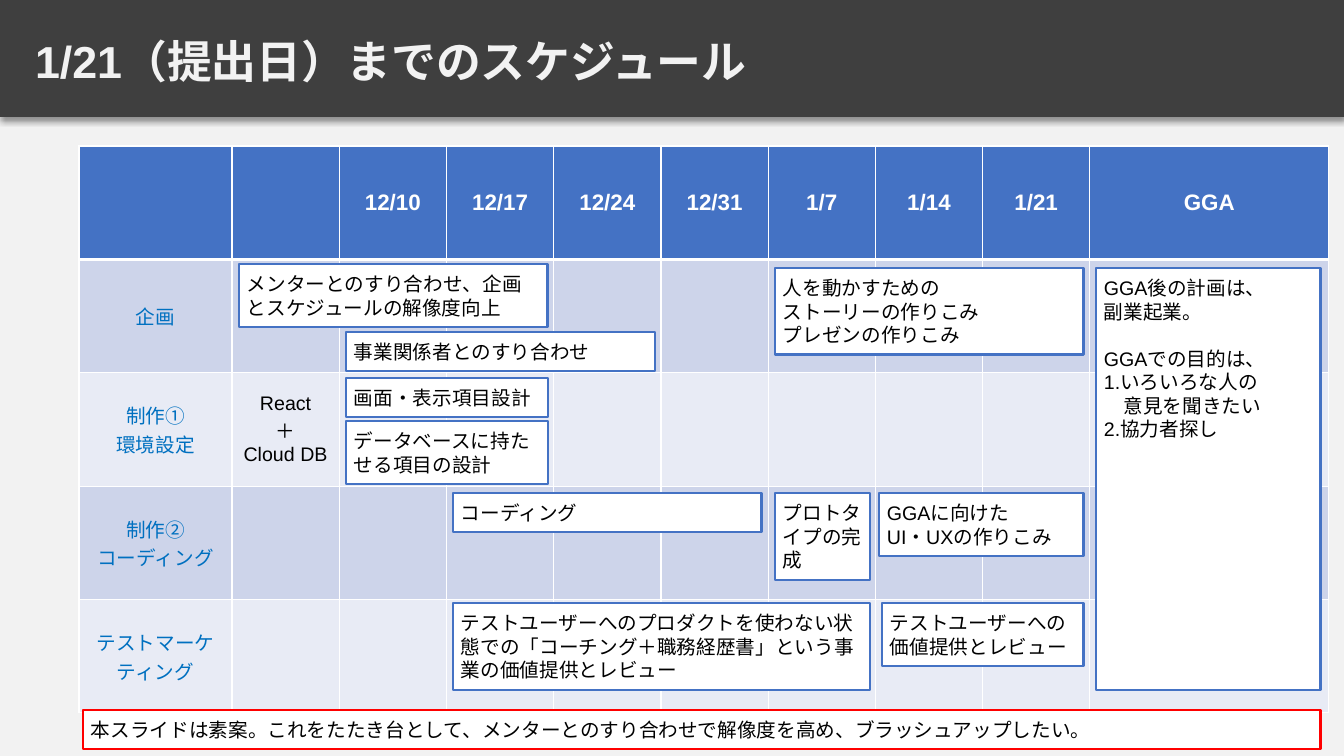
from lxml import etree
from pptx import Presentation
from pptx.dml.color import RGBColor
from pptx.enum.shapes import MSO_SHAPE
from pptx.enum.text import MSO_ANCHOR, PP_ALIGN
from pptx.oxml.ns import qn
from pptx.util import Emu, Pt

RECT = MSO_SHAPE.RECTANGLE
TOP, MIDDLE = MSO_ANCHOR.TOP, MSO_ANCHOR.MIDDLE
LEFT, CENTER = PP_ALIGN.LEFT, PP_ALIGN.CENTER

WIDE, HIGH = 1344, 756
SCALE = 12192000 / WIDE
FONT = "Arial"
LEAD = Pt(16.8)

PALE = RGBColor(0xF2, 0xF2, 0xF2)
DARK = RGBColor(0x3F, 0x3F, 0x3F)
BLUE = RGBColor(0x44, 0x72, 0xC4)
LABEL = RGBColor(0x00, 0x70, 0xC0)
BANDS = RGBColor(0xE8, 0xEB, 0xF5), RGBColor(0xCD, 0xD4, 0xEA)
WHITE = RGBColor(0xFF, 0xFF, 0xFF)
BLACK = RGBColor(0x00, 0x00, 0x00)
RED = RGBColor(0xFF, 0x00, 0x00)

FIRST, DATES, LAST = 153, 858, 239
ROWS = [
    ["", "", "12/10", "12/17", "12/24", "12/31", "1/7", "1/14", "1/21", "GGA"],
    ["企画"],
    ["制作①\n環境設定", "React\n＋\nCloud DB"],
    ["制作②\nコーディング"],
    ["テストマーケティング"],
]
TASKS = [
    (346, 378, 202, 39, "画面・表示項目設計"),
    (453, 493, 309, 39, "コーディング"),
    (346, 421, 202, 63, "データベースに持たせる項目の設計"),
    (879, 493, 205, 63, "GGAに向けた\nUI・UXの作りこみ"),
    (346, 332, 309, 39, "事業関係者とのすり合わせ"),
    (239, 264, 309, 63, "メンターとのすり合わせ、企画とスケジュールの解像度向上"),
    (775, 268, 309, 87, "人を動かすための\nストーリーの作りこみ\nプレゼンの作りこみ"),
    (775, 493, 95, 87, "プロトタイプの完成"),
    (453, 603, 417, 87,
     "テストユーザーへのプロダクトを使わない状態での「コーチング＋職務経歴書」という事業の価値提供とレビュー"),
    (882, 603, 202, 63, "テストユーザーへの価値提供とレビュー"),
]
GOALS = ("GGA後の計画は、\n副業起業。\nGGAでの目的は、\n"
         "1.いろいろな人の\n　意見を聞きたい\n2.協力者探し")
NOTE = "本スライドは素案。これをたたき台として、メンターとのすり合わせで解像度を高め、ブラッシュアップしたい。"


def px(count):
    """Turn pixels into EMU."""
    return Emu(round(count * SCALE))


def pad(frame, size):
    """Set equal margins on a text frame or cell."""
    frame.margin_left = frame.margin_right = px(size)
    frame.margin_top = frame.margin_bottom = px(size)


def write(frame, text, size, color, align=LEFT, bold=False, lead=None):
    """Write one styled paragraph per line of text."""
    frame.word_wrap = True
    for num, line in enumerate(text.split("\n")):
        para = frame.add_paragraph() if num else frame.paragraphs[0]
        para.text = line
        para.alignment = align
        para.line_spacing = lead
        font = para.font
        font.name, font.size, font.bold = FONT, Pt(size), bold
        font.color.rgb = color


def add_box(slide, left, top, width, height, fill, line, weight):
    """Add a plain filled rectangle."""
    box = slide.shapes.add_shape(RECT, px(left), px(top), px(width), px(height))
    box.shadow.inherit = False
    box.fill.solid()
    box.fill.fore_color.rgb = fill
    box.line.color.rgb = line
    box.line.width = Pt(weight)
    return box


def add_task(slide, left, top, width, height, text, line=BLUE):
    """Add a white task box and return its text frame."""
    box = add_box(slide, left, top, width, height, WHITE, line, 2)
    frame = box.text_frame
    pad(frame, 8)
    frame.vertical_anchor = TOP
    write(frame, text, 14, BLACK, lead=LEAD)
    return frame


def add_head(slide, text):
    """Add the dark band with its soft shadow and the title."""
    band = add_box(slide, 0, 0, WIDE, 116, DARK, DARK, 1)
    effect = band._element.spPr.find(qn("a:effectLst"))
    shade = etree.SubElement(effect, qn("a:outerShdw"), blurRad=str(Pt(4)),
                             dist=str(Pt(3)), dir="5400000", algn="t", rotWithShape="0")
    tint = etree.SubElement(shade, qn("a:srgbClr"), val=str(BLACK))
    etree.SubElement(tint, qn("a:alpha"), val="40000")
    title = slide.shapes.add_textbox(0, px(17), px(WIDE), px(94)).text_frame
    pad(title, 5)
    title.margin_left = px(35)
    title.vertical_anchor = MIDDLE
    write(title, text, 32, PALE, bold=True, lead=0.9)


def edge(cell, side, weight):
    """Draw one white border of a cell."""
    props = cell._tc.get_or_add_tcPr()
    line = etree.SubElement(props, qn("a:ln" + side), w=str(Pt(weight)))
    fill = etree.SubElement(line, qn("a:solidFill"))
    etree.SubElement(fill, qn("a:srgbClr"), val=str(WHITE))


def add_grid(slide):
    """Add the schedule table."""
    cols = [FIRST] + [DATES / 8] * 8 + [LAST]
    grid = slide.shapes.add_table(len(ROWS), len(cols), px(79), px(146),
                                  px(sum(cols)), px(567)).table
    for col, width in zip(grid.columns, cols):
        col.width = px(width)
    for r, texts in enumerate(ROWS):
        grid.rows[r].height = px(567 / len(ROWS))
        for c in range(len(cols)):
            cell = grid.cell(r, c)
            pad(cell, 5)
            cell.vertical_anchor = MIDDLE
            for side in "LRTB":
                thick = (r, side) in ((0, "B"), (1, "T"))
                edge(cell, side, 3 if thick else 1)
            cell.fill.solid()
            cell.fill.fore_color.rgb = BANDS[r % 2] if r else BLUE
            if c < len(texts) and texts[c]:
                color = WHITE if r == 0 else BLACK if c else LABEL
                write(cell.text_frame, texts[c], 14 if r else 16, color, CENTER, r == 0)


def main():
    """Build the schedule slide."""
    deck = Presentation()
    deck.slide_width, deck.slide_height = px(WIDE), px(HIGH)
    slide = deck.slides.add_slide(deck.slide_layouts[6])
    slide.background.fill.solid()
    slide.background.fill.fore_color.rgb = PALE
    add_head(slide, "1/21（提出日）までのスケジュール")
    add_grid(slide)
    for task in TASKS:
        add_task(slide, *task)
    goals = add_task(slide, 1096, 268, 225, 422, GOALS)
    goals.paragraphs[2].space_before = LEAD
    add_task(slide, 83, 710, 1238, 39, NOTE, RED)
    deck.save("out.pptx")


if __name__ == "__main__":
    main()
